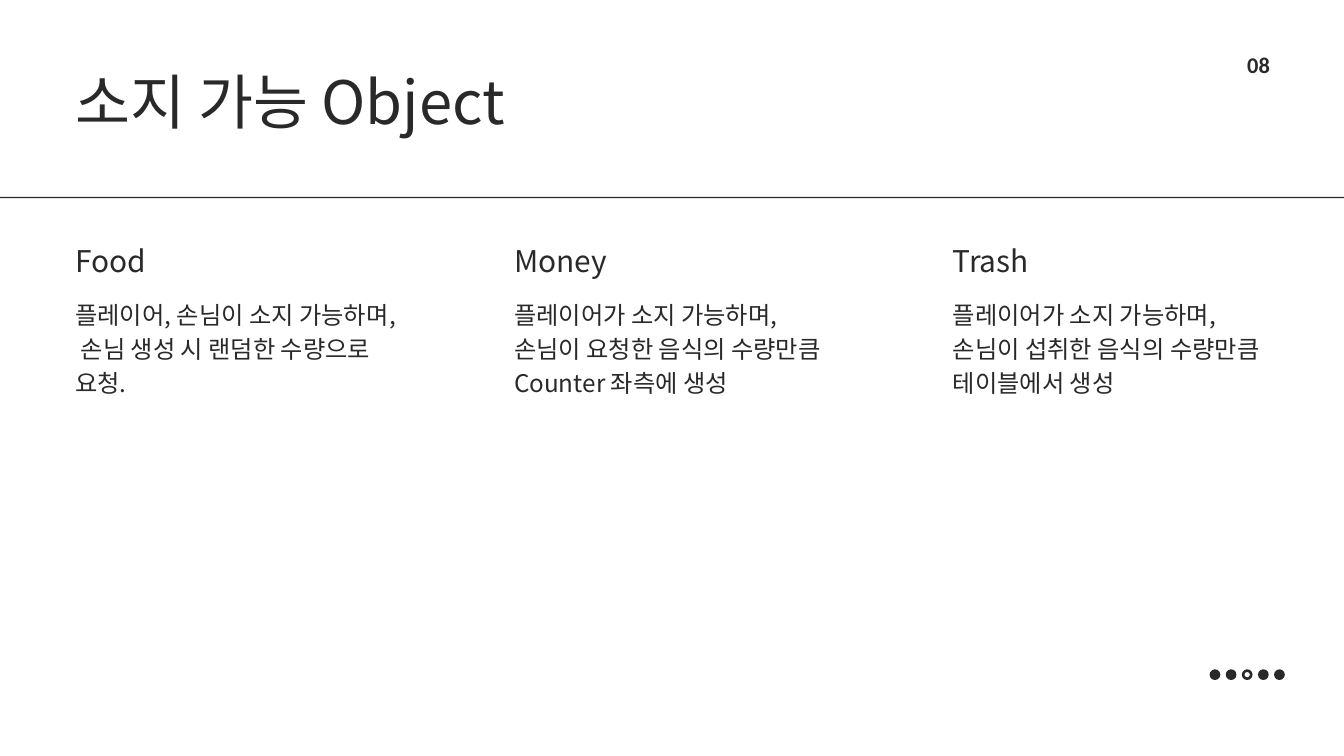
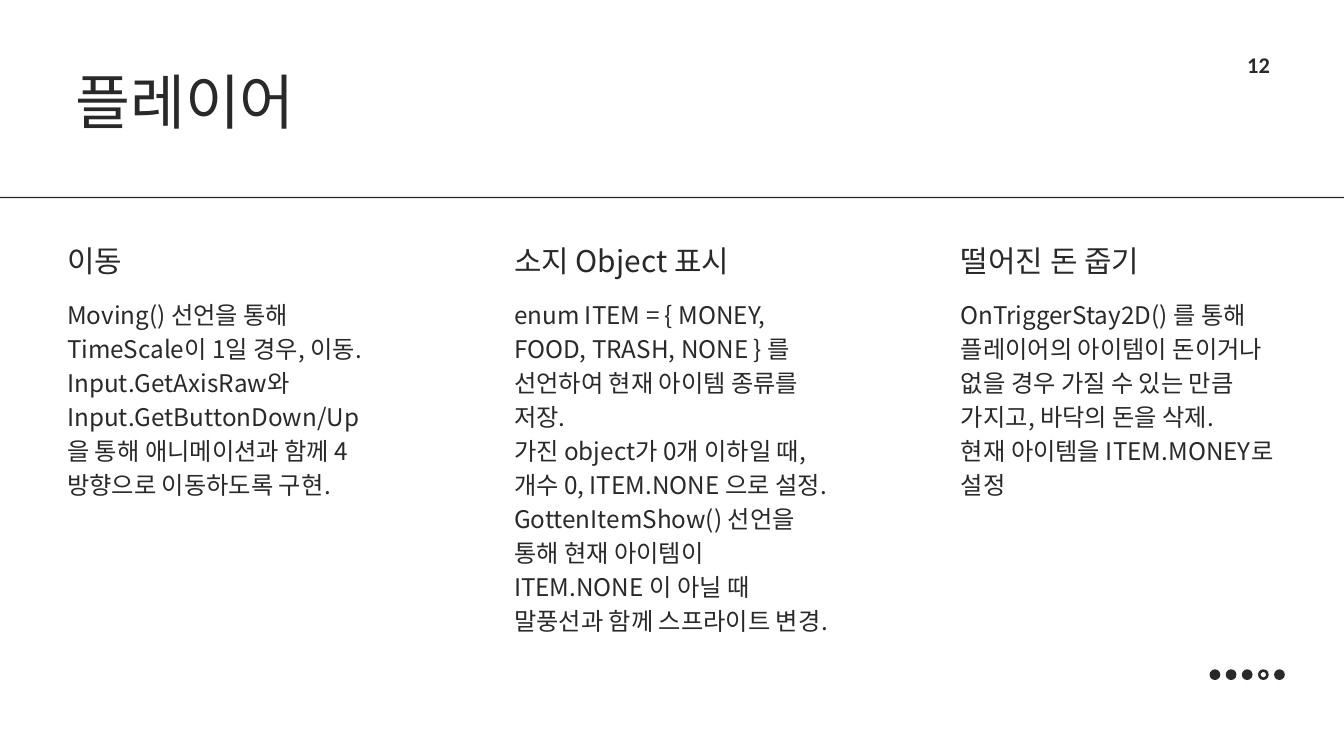
from lxml import etree
from pptx import Presentation
from pptx.dml.color import RGBColor
from pptx.enum.shapes import MSO_SHAPE
from pptx.enum.text import MSO_ANCHOR, MSO_AUTO_SIZE, PP_ALIGN
from pptx.oxml.ns import qn
from pptx.util import Inches, Pt

SLIDES = [
    {
        "title": "소지 가능 Object",
        "number": "08",
        "margin": 1.12,
        "hollow_dot": 2,
        "columns": [
            ("Food", ["플레이어, 손님이 소지 가능하며, 손님 생성 시 랜덤한 수량으로 요청."]),
            ("Money", ["플레이어가 소지 가능하며, 손님이 요청한 음식의 수량만큼 Counter 좌측에 생성"]),
            ("Trash", ["플레이어가 소지 가능하며, 손님이 섭취한 음식의 수량만큼 테이블에서 생성"]),
        ],
    },
    {
        "title": "플레이어",
        "number": "12",
        "margin": 1,
        "hollow_dot": 3,
        "columns": [
            ("이동", [
                "Moving() 선언을 통해 TimeScale이 1일 경우, 이동.",
                "Input.GetAxisRaw와 Input.GetButtonDown/Up 을 통해 애니메이션과 함께 "
                "4방향으로 이동하도록 구현.",
            ]),
            ("소지 Object 표시", [
                "enum ITEM = { MONEY, FOOD, TRASH, NONE } 를 선언하여 현재 아이템 종류를 저장.",
                "가진 object가 0개 이하일 때, 개수 0, ITEM.NONE 으로 설정.",
                "GottenItemShow() 선언을 통해 현재 아이템이 ITEM.NONE 이 아닐 때 "
                "말풍선과 함께 스프라이트 변경.",
            ]),
            ("떨어진 돈 줍기", [
                "OnTriggerStay2D() 를 통해 플레이어의 아이템이 돈이거나 없을 경우 "
                "가질 수 있는 만큼 가지고, 바닥의 돈을 삭제.",
                "현재 아이템을 ITEM.MONEY로 설정",
            ]),
        ],
    },
]

INK = RGBColor(0x29, 0x29, 0x29)
WHITE = RGBColor(0xFF, 0xFF, 0xFF)
KOREAN, LATIN = "Noto Sans CJK KR", "Calibri"
RECT, OVAL, DONUT = MSO_SHAPE.RECTANGLE, MSO_SHAPE.OVAL, MSO_SHAPE.DONUT
TITLE_ONLY = 5

# Text styles: size, line spacing (points), font, bold
TITLE = (64, 70.4, KOREAN, False)
HEADING = (32, 35.2, KOREAN, False)
BODY = (26, 36.4, KOREAN, False)
NUMBER = (24, 33.6, LATIN, True)

# Inches
WIDTH, HEIGHT = 20, 11.25
COLUMN_W = 4.7
HEADING_Y, BODY_Y = 3.66, 4.4
DOT_COUNT, DOT_X, DOT_Y, DOT_STEP, DOT_SIZE = 5, 18, 9.96, 0.24, 0.16


def place(shape, x, y, w, h):
    shape.left, shape.top, shape.width, shape.height = map(Inches, (x, y, w, h))


def write(shape, paragraphs, style):
    size, leading, face, bold = style
    tf = shape.text_frame
    tf.margin_left = tf.margin_right = tf.margin_top = tf.margin_bottom = 0
    tf.vertical_anchor = MSO_ANCHOR.TOP
    tf.word_wrap = True
    tf.auto_size = MSO_AUTO_SIZE.SHAPE_TO_FIT_TEXT
    tf.text = "\n".join(paragraphs)
    for p in tf.paragraphs:
        p.alignment = PP_ALIGN.LEFT
        p.line_spacing = Pt(leading)
        p.space_before = Pt(0)
        p.font.size, p.font.name, p.font.bold = Pt(size), face, bold
        p.font.color.rgb = INK
        default = p._p.pPr.find(qn("a:defRPr"))
        etree.SubElement(default, qn("a:ea"), typeface=face)


def add_text(shapes, x, y, w, h, paragraphs, style):
    box = shapes.add_textbox(*map(Inches, (x, y, w, h)))
    write(box, paragraphs, style)


def add_solid(shapes, kind, x, y, w, h):
    shape = shapes.add_shape(kind, *map(Inches, (x, y, w, h)))
    shape.shadow.inherit = False
    shape.fill.solid()
    shape.fill.fore_color.rgb = INK
    shape.line.fill.background()


def add_columns(s, columns, margin):
    step = (WIDTH - 2 * margin - COLUMN_W) / (len(columns) - 1)
    for i, (heading, body) in enumerate(columns):
        x = margin + i * step
        group = s.shapes.add_group_shape()
        body_h = 1.5 * (2 * len(body) - (len(body) > 1) * len(body) + (len(body) == 1) * -1)
        add_text(group.shapes, x, BODY_Y, COLUMN_W, body_h, body, BODY)
        add_text(group.shapes, x, HEADING_Y, COLUMN_W, 0.55, [heading], HEADING)


def add_dots(s, hollow):
    group = s.shapes.add_group_shape()
    for i in range(DOT_COUNT):
        kind = DONUT if i == hollow else OVAL
        add_solid(group.shapes, kind, DOT_X + i * DOT_STEP, DOT_Y, DOT_SIZE, DOT_SIZE)


def add_slide(prs, content):
    s = prs.slides.add_slide(prs.slide_layouts[TITLE_ONLY])
    s.background.fill.solid()
    s.background.fill.fore_color.rgb = WHITE
    place(s.shapes.title, 1.12, 1.05, 8.12, 1.13)
    write(s.shapes.title, [content["title"]], TITLE)
    add_solid(s.shapes, RECT, 0, 2.93, WIDTH, 0.02)
    add_columns(s, content["columns"], content["margin"])
    add_dots(s, content["hollow_dot"])
    add_text(s.shapes, 18.56, 0.69, 1.44, 0.44, [content["number"]], NUMBER)


def main():
    prs = Presentation()
    prs.slide_width, prs.slide_height = Inches(WIDTH), Inches(HEIGHT)
    for content in SLIDES:
        add_slide(prs, content)
    prs.save("out.pptx")


if __name__ == "__main__":
    main()
